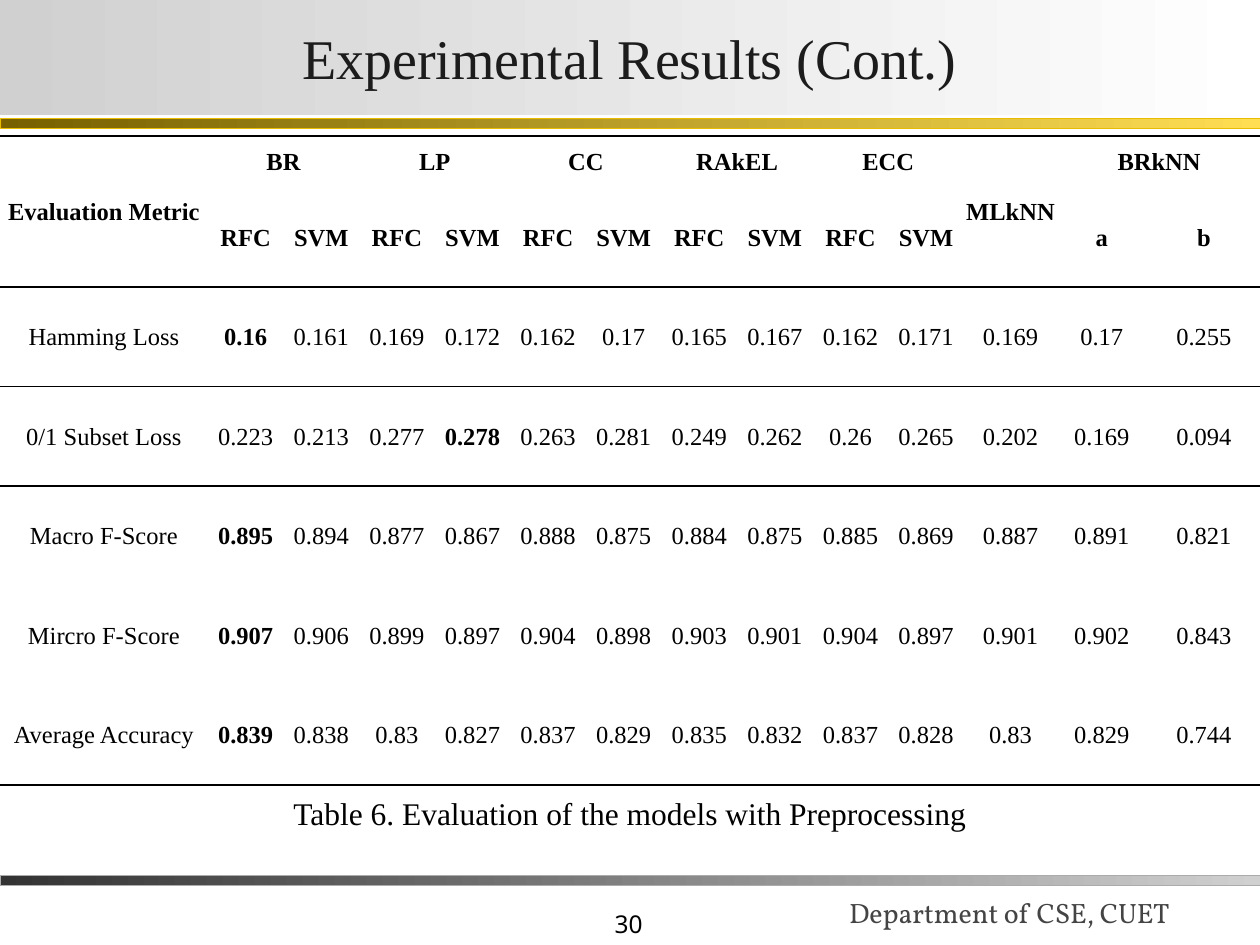
from lxml import etree
from pptx import Presentation
from pptx import util as u
from pptx.dml.color import RGBColor
from pptx.enum import shapes, text
from pptx.oxml import ns

COLORS = {
    "black": "000000", "title": "1C1C1C", "footer": "444444",
    "silver": "D0D0D0", "white": "FFFFFF", "charcoal": "333333", "grey_edge": "ABABAB",
    "bronze": "766000", "gold": "FFDE53", "gold_edge": "E8BC00",
}
SERIF = "Times New Roman"
WIDTH, HEIGHT = 10, 7.5
COLUMNS = [1.65] + [0.6] * 10 + [0.74, 0.71, 0.91]
ROWS = [0.41] + [0.79] * 6
PAIRS = ["BR", "LP", "CC", "RAkEL", "ECC"]
SCORES = [
    "Hamming Loss|0.16 0.161 0.169 0.172 0.162 0.17 0.165 0.167 0.162 0.171 0.169 0.17 0.255",
    "0/1 Subset Loss|0.223 0.213 0.277 0.278 0.263 0.281 0.249 0.262 0.26 0.265 0.202 0.169 0.094",
    "Macro F-Score|0.895 0.894 0.877 0.867 0.888 0.875 0.884 0.875 0.885 0.869 0.887 0.891 0.821",
    "Mircro F-Score|0.907 0.906 0.899 0.897 0.904 0.898 0.903 0.901 0.904 0.897 0.901 0.902 0.843",
    "Average Accuracy|0.839 0.838 0.83 0.827 0.837 0.829 0.835 0.832 0.837 0.828 0.83 0.829 0.744",
]
BEST_COLUMNS = [1, 4, 1, 1, 1]
RULED_ROWS = {1, 2, 6}
PLAIN_STYLE = "{2D5ABB26-0587-4C30-8999-92F81FD0307C}"


def inches(box):
    """Turn a box in inches into slide lengths."""
    return [u.Inches(length) for length in box]


def write(frame, wording, size, font=SERIF, color="black", align="CENTER", bold=False):
    """Write one styled run into a text frame."""
    para = frame.paragraphs[0]
    para.alignment = getattr(text.PP_ALIGN, align)
    span = para.add_run()
    span.text = wording
    span.font.size = u.Pt(size)
    span.font.name = font
    span.font.bold = bold
    span.font.color.rgb = RGBColor.from_string(COLORS[color])


def add_label(page, box, wording, size, anchor="TOP", **style):
    """Add a wrapped text box with one line."""
    frame = page.shapes.add_textbox(*inches(box)).text_frame
    frame.word_wrap = True
    frame.vertical_anchor = getattr(text.MSO_ANCHOR, anchor)
    write(frame, wording, size, **style)


def add_band(page, box, start, end, edge=None):
    """Add a rectangle shaded from left to right."""
    band = page.shapes.add_shape(shapes.MSO_SHAPE.RECTANGLE, *inches(box))
    band.shadow.inherit = False
    band.fill.gradient()
    band.fill.gradient_angle = 0
    for stop, position, name in zip(band.fill.gradient_stops, (0, 1), (start, end)):
        stop.position = position
        stop.color.rgb = RGBColor.from_string(COLORS[name])
    if edge:
        band.line.color.rgb = RGBColor.from_string(COLORS[edge])
        band.line.width = u.Pt(0.25)
    else:
        band.line.fill.background()
    return band


def add_header(page, box):
    """Add the shaded title and the gold bar below it."""
    left, top, width, height = box
    add_band(page, (left, top + height + 0.03, width, 0.08), "bronze", "gold", "gold_edge")
    frame = add_band(page, box, "silver", "white").text_frame
    frame.word_wrap = True
    frame.vertical_anchor = text.MSO_ANCHOR.MIDDLE
    frame.margin_left = frame.margin_right = u.Inches(0.02)
    frame.margin_top = frame.margin_bottom = u.Inches(0.01)
    write(frame, "Experimental Results (Cont.)", 32, color="title")


def add_footer(page, box):
    """Add the grey bar, the page number and the department."""
    left, top, width, height = box
    add_label(page, (left + 0.312 * width, top + 0.05, 2.08, 0.5), "30", 14,
              anchor="BOTTOM", font="Noto Sans", align="RIGHT")
    add_label(page, (left + 0.664 * width, top - 0.15, 3.44, 0.62), "Department of CSE, CUET", 16,
              anchor="BOTTOM", font="Vollkorn", color="footer", align="LEFT")
    add_band(page, (left, top, width, 0.08), "charcoal", "silver", "grey_edge")


def rule_cell(cell, edges):
    """Draw black rules on the named edges of a cell."""
    properties = cell._tc.get_or_add_tcPr()
    for edge in edges:
        line = etree.SubElement(properties, ns.qn("a:ln" + edge), w=str(u.Pt(1)))
        fill = etree.SubElement(line, ns.qn("a:solidFill"))
        etree.SubElement(fill, ns.qn("a:srgbClr"), val=COLORS["black"])


def table_wording():
    """Return the rows of cell wording, blank where a merge covers."""
    groups = ["Evaluation Metric"]
    for name in PAIRS:
        groups += [name, ""]
    groups += ["MLkNN", "BRkNN", ""]
    models = [""] + ["RFC", "SVM"] * len(PAIRS) + ["", "a", "b"]
    scores = []
    for line in SCORES:
        metric, values = line.split("|")
        scores.append([metric] + values.split())
    return [groups, models] + scores


def add_results(page, box):
    """Add the table of scores with its merged headings."""
    table_frame = page.shapes.add_table(len(ROWS), len(COLUMNS), *inches(box))
    table = table_frame.table
    table.first_row = table.horz_banding = False
    table._tbl.tblPr.find(ns.qn("a:tableStyleId")).text = PLAIN_STYLE
    for column, width in zip(table.columns, COLUMNS):
        column.width = u.Inches(width)
    for row, height in zip(table.rows, ROWS):
        row.height = u.Inches(height)
    for column in (0, 11):
        table.cell(0, column).merge(table.cell(1, column))
    for column in (1, 3, 5, 7, 9, 12):
        table.cell(0, column).merge(table.cell(0, column + 1))
    for row, wordings in enumerate(table_wording()):
        for column, wording in enumerate(wordings):
            cell = table.cell(row, column)
            cell.margin_left = cell.margin_right = cell.margin_top = u.Inches(0.01)
            cell.margin_bottom = 0
            cell.vertical_anchor = text.MSO_ANCHOR.MIDDLE
            last_row = row + cell.span_height - 1 if cell.is_merge_origin else row
            top = row == 0 or row - 1 in RULED_ROWS
            rule_cell(cell, "T" * top + "B" * (last_row in RULED_ROWS))
            cell.fill.background()
            if wording:
                bold = row < 2 or column == BEST_COLUMNS[row - 2]
                write(cell.text_frame, wording, 14, bold=bold)


def build():
    """Build and save the results slide."""
    deck = Presentation()
    deck.slide_width, deck.slide_height = u.Inches(WIDTH), u.Inches(HEIGHT)
    page = deck.slides.add_slide(deck.slide_layouts[6])
    add_footer(page, (0, 6.95, WIDTH, 0.55))
    add_header(page, (0, 0, WIDTH, 0.91))
    add_results(page, (0, 1.08, WIDTH, sum(ROWS)))
    add_label(page, (0, 6.25, WIDTH, 0.4), "Table 6. Evaluation of the models with Preprocessing", 18)
    deck.save("out.pptx")


build()
